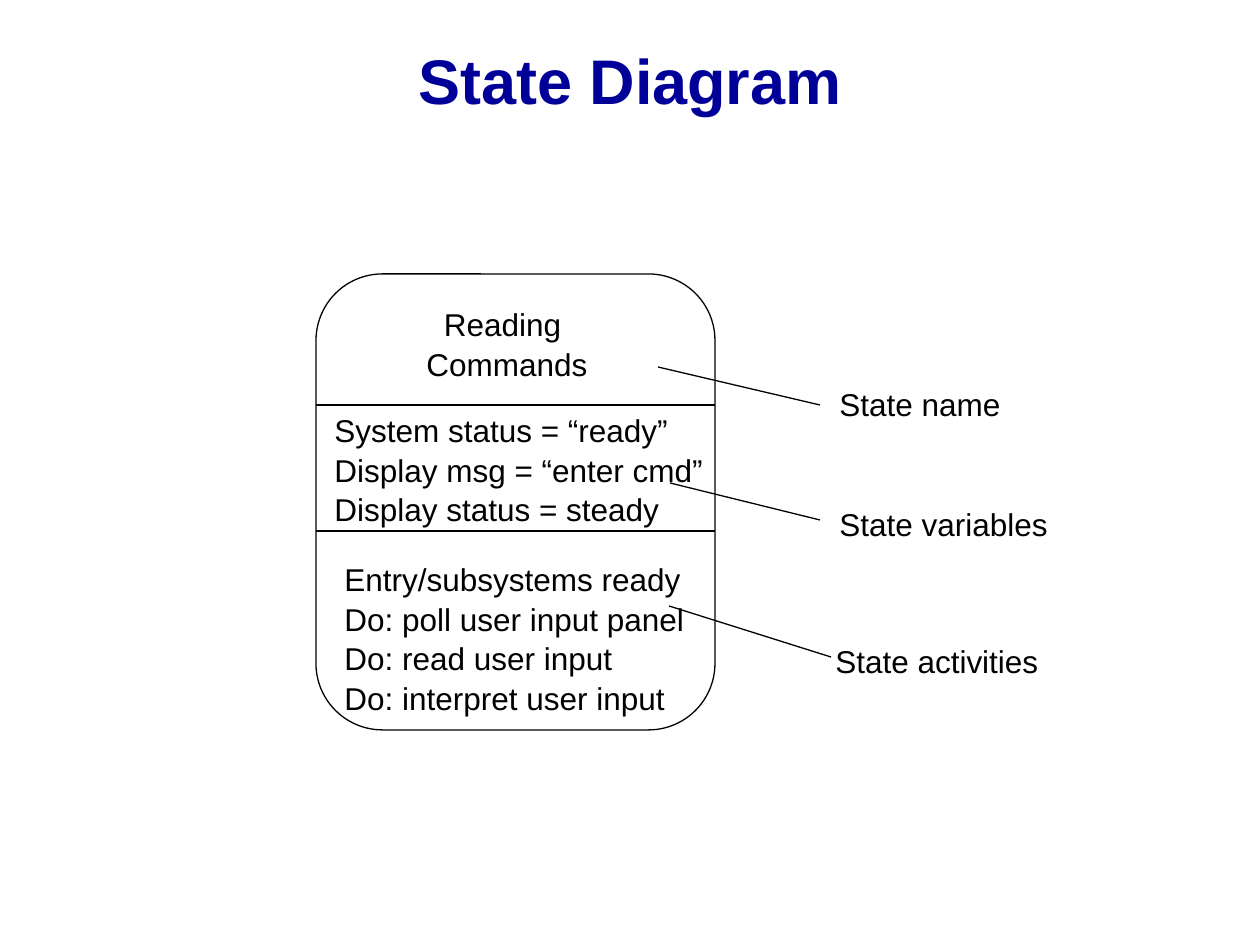
from pptx import Presentation
from pptx.dml.color import RGBColor
from pptx.enum.shapes import MSO_CONNECTOR, MSO_SHAPE
from pptx.enum.text import MSO_ANCHOR, MSO_AUTO_SIZE, PP_ALIGN
from pptx.oxml.ns import qn
from pptx.util import Pt
from lxml import etree

PX = 914400 // 126
STRAIGHT = MSO_CONNECTOR.STRAIGHT
ROUNDED = MSO_SHAPE.ROUNDED_RECTANGLE
MIDDLE = MSO_ANCHOR.MIDDLE
GROW = MSO_AUTO_SIZE.SHAPE_TO_FIT_TEXT
LEFT, CENTER = PP_ALIGN.LEFT, PP_ALIGN.CENTER
BLACK, WHITE, NAVY = "000000", "FFFFFF", "000099"

STATE_LEFT, STATE_TOP, STATE_RIGHT, STATE_BOTTOM = 316, 274, 715, 730
DIVIDERS = (405, 531)
SECTIONS = [
    ((368, 297, 278, 88), ["Reading ", "Commands"], CENTER),
    ((322, 403, 538, 126),
     ["System status = “ready”", "Display msg = “enter cmd”", "Display status = steady"], LEFT),
    ((332, 552, 538, 164),
     ["Entry/subsystems ready", "Do: poll user input panel",
      "Do: read user input", "Do: interpret user input"], LEFT),
]
LABELS = [
    ("State name", (827, 377, 250, 50), (820, 405, 658, 367)),
    ("State variables", (827, 497, 310, 50), (820, 520, 670, 483)),
    ("State activities", (823, 634, 304, 50), (831, 657, 669, 606)),
]


def px(*lengths):
    """Convert pixel lengths to EMU."""
    return [n * PX for n in lengths]


def rgb(color):
    """Return the colour for a hex string."""
    return RGBColor.from_string(color)


def write(tf, lines, size=18, color=BLACK, bold=False, align=LEFT, spacing=1.05):
    """Fill a text frame with one formatted paragraph per line."""
    for i, line in enumerate(lines):
        p = tf.paragraphs[0] if i == 0 else tf.add_paragraph()
        p.alignment = align
        p.line_spacing = spacing
        r = p.add_run()
        r.text = line
        r.font.name = "Arial"
        r.font.size = Pt(size)
        r.font.bold = bold
        r.font.color.rgb = rgb(color)


def add_title(s, text):
    """Place and format the slide title."""
    sp = s.shapes.title
    sp.left, sp.top, sp.width, sp.height = px(331, 0, 598, 158)
    sp.text_frame.vertical_anchor = MIDDLE
    write(sp.text_frame, [text], size=36, color=NAVY, bold=True, align=CENTER, spacing=1.0)


def add_text(s, box, lines, **fmt):
    """Add a wrapping text box that grows with its text."""
    tf = s.shapes.add_textbox(*px(*box)).text_frame
    tf.word_wrap = True
    tf.auto_size = GROW
    write(tf, lines, **fmt)


def add_state(s):
    """Add the rounded outline of the state."""
    sp = s.shapes.add_shape(ROUNDED, *px(STATE_LEFT, STATE_TOP, STATE_RIGHT - STATE_LEFT,
                                         STATE_BOTTOM - STATE_TOP))
    sp.shadow.inherit = False
    sp.fill.solid()
    sp.fill.fore_color.rgb = rgb(WHITE)
    sp.line.color.rgb = rgb(BLACK)
    sp.line.width = Pt(0.75)


def add_line(s, *ends):
    """Add a thin black line between two points."""
    line = s.shapes.add_connector(STRAIGHT, *px(*ends))
    line.line.color.rgb = rgb(BLACK)
    line.line.width = Pt(0.75)
    etree.SubElement(line._element.spPr, qn("a:effectLst"))


def main():
    """Build the state diagram slide."""
    prs = Presentation()
    prs.slide_width, prs.slide_height = px(1260, 945)
    s = prs.slides.add_slide(prs.slide_layouts[5])
    add_title(s, "State Diagram")
    add_state(s)
    for y in DIVIDERS:
        add_line(s, STATE_LEFT, y, STATE_RIGHT, y)
    for box, lines, align in SECTIONS:
        add_text(s, box, lines, align=align)
    for label, box, leader in LABELS:
        add_text(s, box, [label])
        add_line(s, *leader)
    prs.save("out.pptx")


if __name__ == "__main__":
    main()
